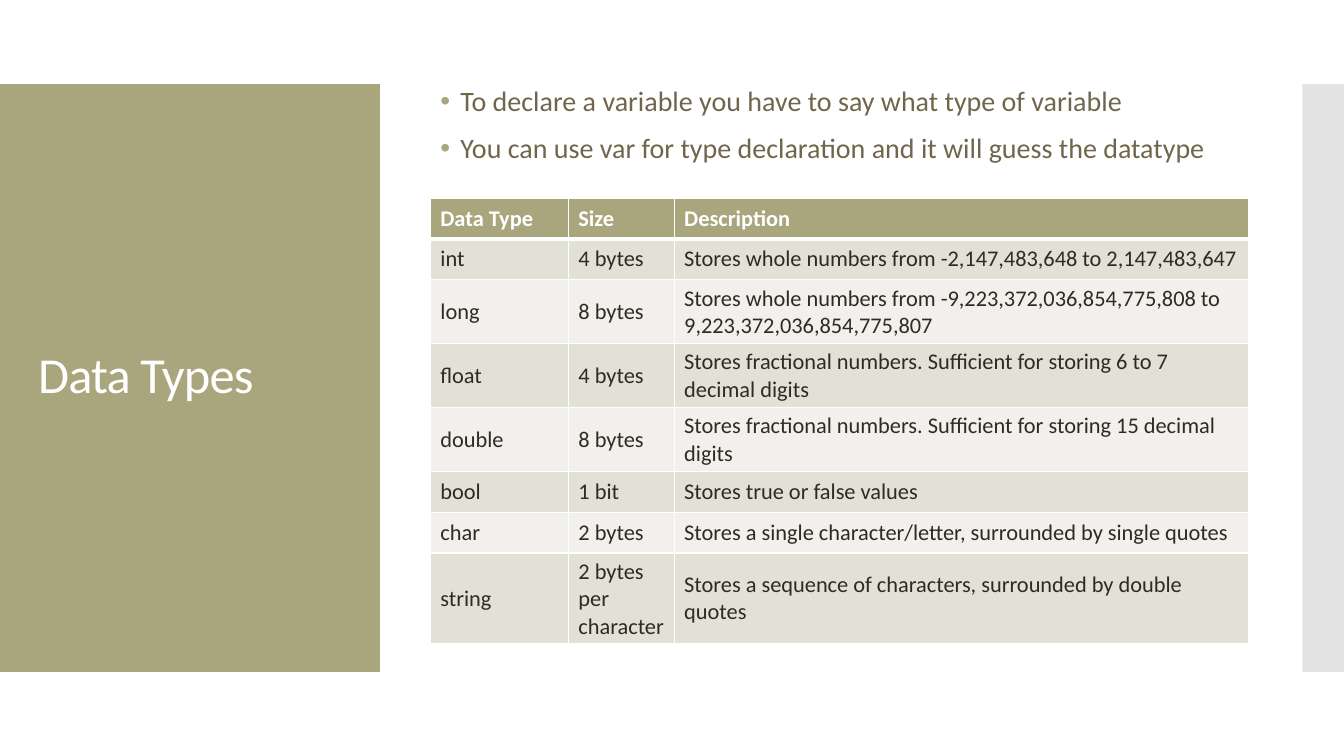
from dataclasses import dataclass

from lxml import etree
from pptx import Presentation
from pptx.dml.color import RGBColor
from pptx.enum.shapes import MSO_SHAPE
from pptx.enum.text import MSO_ANCHOR
from pptx.oxml.ns import qn
from pptx.util import Pt

RECTANGLE = MSO_SHAPE.RECTANGLE
MIDDLE = MSO_ANCHOR.MIDDLE


@dataclass(frozen=True)
class Theme:
    font: str = "Calibri"
    white: str = "FFFFFF"
    olive: str = "A9A57C"
    gray: str = "C8C8C8"
    brown: str = "6F664C"
    ink: str = "2F2B20"
    bands: tuple = ("E2E1D7", "F1F0EC")
    title_size: float = 36
    bullet_size: float = 20
    table_size: float = 16


THEME = Theme()

BULLETS = (
    "To declare a variable you have to say what type of variable",
    "You can use var for type declaration and it will guess the datatype",
)
DATA_TYPES = (
    ("Data Type", "Size", "Description"),
    ("int", "4 bytes", "Stores whole numbers from -2,147,483,648 to 2,147,483,647"),
    ("long", "8 bytes", "Stores whole numbers from -9,223,372,036,854,775,808 to 9,223,372,036,854,775,807"),
    ("float", "4 bytes", "Stores fractional numbers. Sufficient for storing 6 to 7 decimal digits"),
    ("double", "8 bytes", "Stores fractional numbers. Sufficient for storing 15 decimal digits"),
    ("bool", "1 bit", "Stores true or false values"),
    ("char", "2 bytes", "Stores a single character/letter, surrounded by single quotes"),
    ("string", "2 bytes per character", "Stores a sequence of characters, surrounded by double quotes"),
)
COLUMN_WIDTHS = (98.6, 75.6, 410.4)
ROW_HEIGHT = 29.2


def add_panel(page, left, width, color, opacity=100):
    panel = page.shapes.add_shape(RECTANGLE, Pt(left), Pt(60), Pt(width), Pt(420))
    panel.shadow.inherit = False
    panel.fill.solid()
    panel.fill.fore_color.rgb = RGBColor.from_string(color)
    panel.line.fill.background()
    if opacity < 100:
        shade = panel.fill._xPr.find(".//" + qn("a:srgbClr"))
        etree.SubElement(shade, qn("a:alpha"), val=str(opacity * 1000))


def add_span(para, text, size, color, bold=False):
    span = para.add_run()
    span.text = text
    span.font.name = THEME.font
    span.font.size = Pt(size)
    span.font.bold = bold
    span.font.color.rgb = RGBColor.from_string(color)
    return span


def add_text_frame(page, left, top, width, height):
    box = page.shapes.add_textbox(Pt(left), Pt(top), Pt(width), Pt(height))
    box.text_frame.word_wrap = True
    box.text_frame.vertical_anchor = MIDDLE
    return box.text_frame


def add_title(page, text):
    para = add_text_frame(page, 20.2, 88.6, 231.8, 362.2).paragraphs[0]
    para.line_spacing = 0.9
    span = add_span(para, text, THEME.title_size, THEME.white)
    span.font._element.set("spc", "-60")


def add_bullets(page, lines):
    frame = add_text_frame(page, 307.4, 59, 584.6, 62.6)
    for index, line in enumerate(lines):
        para = frame.add_paragraph() if index else frame.paragraphs[0]
        para.line_spacing = 0.9
        para.space_before = Pt(12)
        properties = para._p.get_or_add_pPr()
        properties.set("marL", str(Pt(14.4)))
        properties.set("indent", str(Pt(-14.4)))
        bullet_color = etree.SubElement(properties, qn("a:buClr"))
        etree.SubElement(bullet_color, qn("a:srgbClr"), val=THEME.olive)
        etree.SubElement(properties, qn("a:buFont"), typeface="Arial")
        etree.SubElement(properties, qn("a:buChar"), char="•")
        add_span(para, line, THEME.bullet_size, THEME.brown)


def set_borders(cell, bottom):
    properties = cell._tc.get_or_add_tcPr()
    widths = {"lnL": 1, "lnR": 1, "lnT": 1, "lnB": bottom}
    for position, (side, width) in enumerate(widths.items()):
        line = etree.Element(qn("a:" + side), w=str(Pt(width)))
        fill = etree.SubElement(line, qn("a:solidFill"))
        etree.SubElement(fill, qn("a:srgbClr"), val=THEME.white)
        properties.insert(position, line)


def fill_cell(cell, text, row):
    header = row == 0
    cell.vertical_anchor = MIDDLE
    cell.fill.solid()
    color = THEME.olive if header else THEME.bands[(row - 1) % 2]
    cell.fill.fore_color.rgb = RGBColor.from_string(color)
    add_span(cell.text_frame.paragraphs[0], text, THEME.table_size,
             THEME.white if header else THEME.ink, header)
    set_borders(cell, 3 if header else 1)


def add_type_table(page, rows):
    frame = page.shapes.add_table(
        len(rows), len(COLUMN_WIDTHS), Pt(307.4), Pt(141.4),
        Pt(sum(COLUMN_WIDTHS)), Pt(ROW_HEIGHT * len(rows)))
    table = frame.table
    for column, width in zip(table.columns, COLUMN_WIDTHS):
        column.width = Pt(width)
    for row, texts in enumerate(rows):
        for column, text in enumerate(texts):
            fill_cell(table.cell(row, column), text, row)
    frame.height = Pt(337.7)


def main():
    deck = Presentation()
    deck.slide_width = Pt(960)
    deck.slide_height = Pt(540)
    page = deck.slides.add_slide(deck.slide_layouts[6])
    add_panel(page, 0, 271.4, THEME.olive)
    add_panel(page, 930.2, 29.8, THEME.gray, opacity=50)
    add_title(page, "Data Types")
    add_bullets(page, BULLETS)
    add_type_table(page, DATA_TYPES)
    deck.save("out.pptx")


main()
